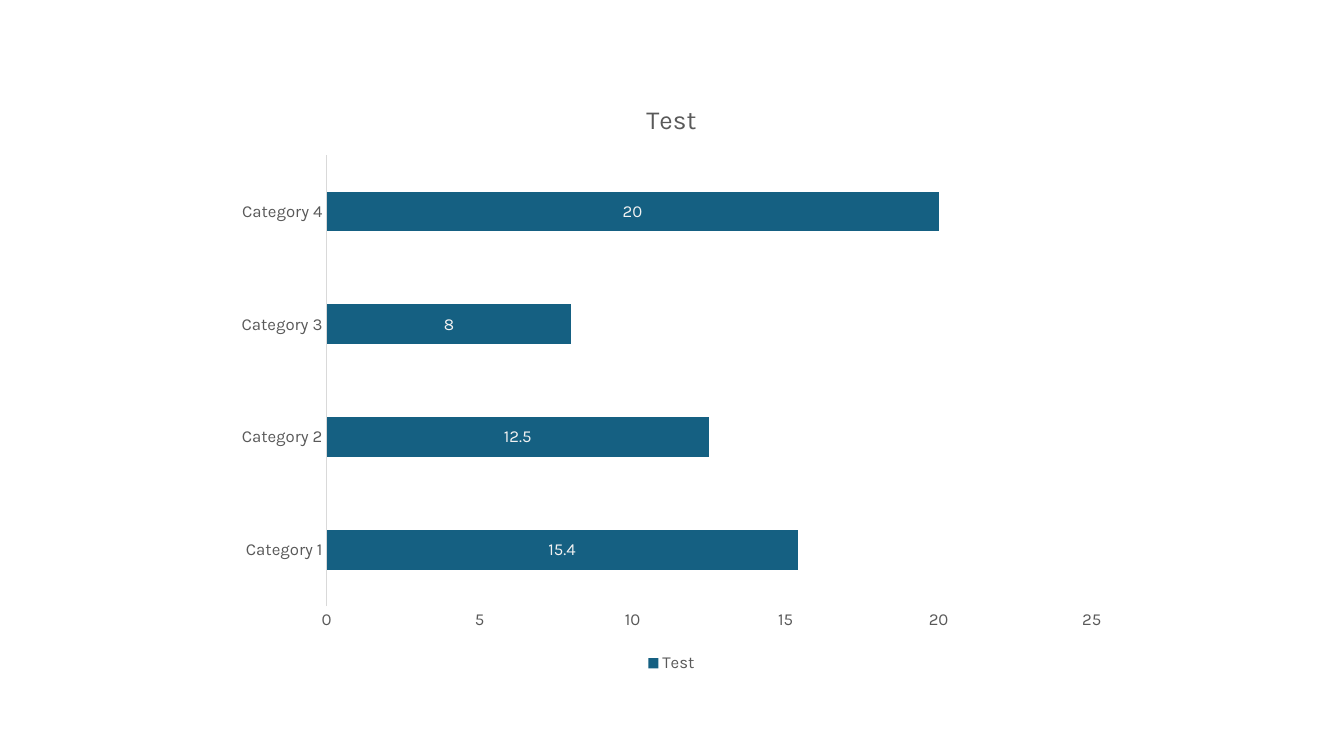
"""Build a slide with one clustered bar chart."""
from dataclasses import dataclass
from pptx import Presentation
from pptx.chart.chart import Chart
from pptx.chart.data import CategoryChartData as Data
from pptx.dml.color import RGBColor as Color
from pptx.enum.chart import XL_CHART_TYPE as Kind
from pptx.enum.chart import XL_LABEL_POSITION as Spot
from pptx.enum.chart import XL_LEGEND_POSITION as Side
from pptx.enum.chart import XL_TICK_MARK as Tick
from pptx.slide import Slide
from pptx.text.text import Font
from pptx.util import Emu, Pt

SCALE = 9525


@dataclass(frozen=True)
class Theme:
    face: str = "Karla"
    bar: str = "156082"
    text: str = "595959"
    label: str = "F2F2F2"
    rule: str = "D9D9D9"
    title: float = 18.6
    body: float = 12


@dataclass(frozen=True)
class Box:
    left: int
    top: int
    width: int
    height: int


@dataclass(frozen=True)
class Bar:
    name: str
    value: float


THEME = Theme()
FRAME = Box(213, 76, 853, 569)
NAME = "Test"
BARS = [
    Bar("Category 1", 15.4),
    Bar("Category 2", 12.5),
    Bar("Category 3", 8),
    Bar("Category 4", 20),
]


def px(count: int) -> Emu:
    return Emu(count * SCALE)


def style(font: Font, size: float, color: str) -> None:
    font.name = THEME.face
    font.size = Pt(size)
    font.bold = False
    font.color.rgb = Color.from_string(color)


def add_bars(slide: Slide, box: Box, bars: list[Bar]) -> Chart:
    data = Data()
    data.categories = [bar.name for bar in bars]
    data.add_series(NAME, [bar.value for bar in bars])
    return slide.shapes.add_chart(
        Kind.BAR_CLUSTERED, px(box.left), px(box.top),
        px(box.width), px(box.height), data).chart


def set_head(chart: Chart) -> None:
    chart.has_title = True
    frame = chart.chart_title.text_frame
    frame.text = NAME
    style(frame.paragraphs[0].runs[0].font, THEME.title, THEME.text)
    chart.chart_title.include_in_layout = False
    chart.has_legend = True
    chart.legend.position = Side.BOTTOM
    chart.legend.include_in_layout = False
    style(chart.legend.font, THEME.body, THEME.text)


def set_axes(chart: Chart) -> None:
    for axis in (chart.category_axis, chart.value_axis):
        axis.major_tick_mark = axis.minor_tick_mark = Tick.NONE
        axis.has_major_gridlines = False
        style(axis.tick_labels.font, THEME.body, THEME.text)
    chart.value_axis.format.line.fill.background()
    line = chart.category_axis.format.line
    line.color.rgb = Color.from_string(THEME.rule)
    line.width = Pt(0.75)


def set_plot(chart: Chart) -> None:
    plot = chart.plots[0]
    plot.gap_width = 182
    plot.vary_by_categories = False
    row = plot.series[0]
    row.format.fill.solid()
    row.format.fill.fore_color.rgb = Color.from_string(THEME.bar)
    labels = row.data_labels
    labels.show_value = True
    labels.position = Spot.CENTER
    style(labels.font, THEME.body, THEME.label)


def main() -> None:
    deck = Presentation()
    deck.slide_width, deck.slide_height = px(1280), px(720)
    slide = deck.slides.add_slide(deck.slide_layouts[6])
    chart = add_bars(slide, FRAME, BARS)
    set_head(chart)
    set_axes(chart)
    set_plot(chart)
    deck.save("out.pptx")


if __name__ == "__main__":
    main()
